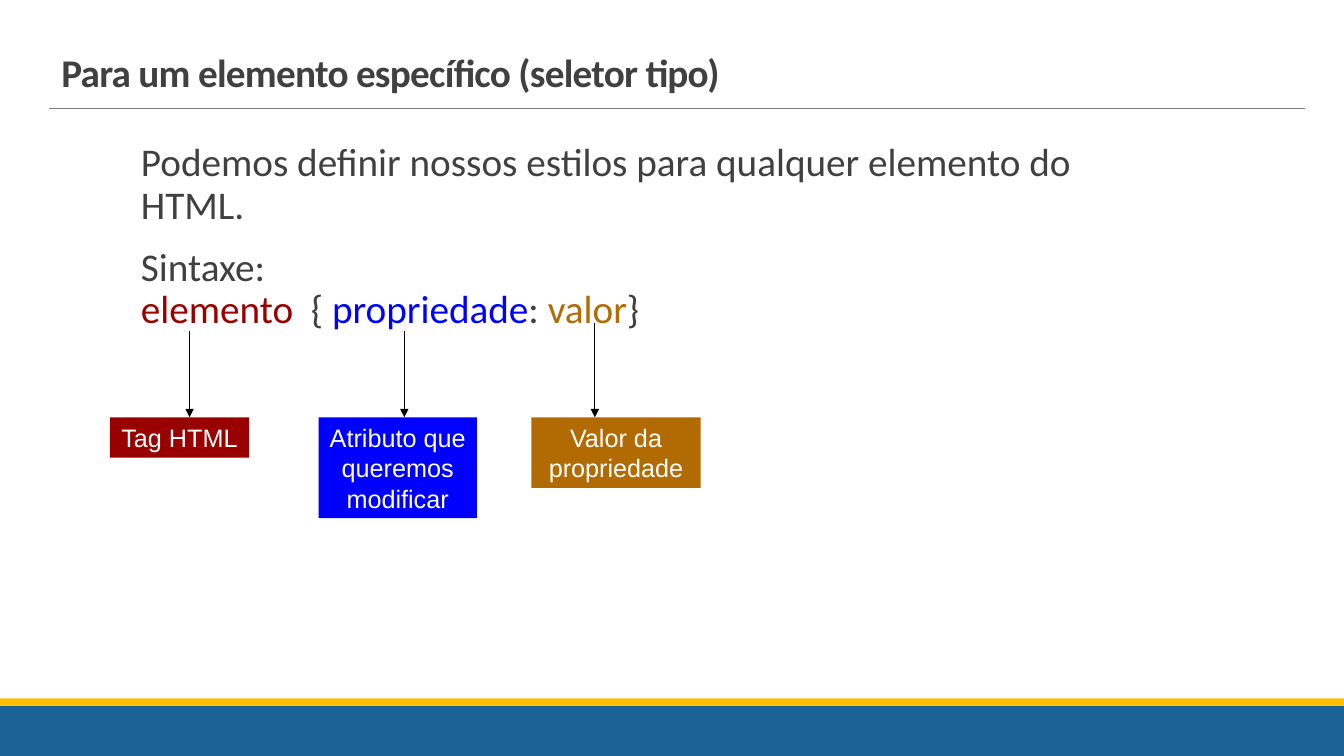
from lxml import etree
from pptx import Presentation
from pptx.dml.color import RGBColor
from pptx.enum.shapes import MSO_CONNECTOR, MSO_SHAPE
from pptx.enum.text import MSO_ANCHOR, MSO_AUTO_SIZE, PP_ALIGN
from pptx.oxml.ns import qn
from pptx.util import Inches, Pt

RECT, STRAIGHT = MSO_SHAPE.RECTANGLE, MSO_CONNECTOR.STRAIGHT
BOTTOM, CENTER = MSO_ANCHOR.BOTTOM, PP_ALIGN.CENTER
FIT_SHAPE = MSO_AUTO_SIZE.SHAPE_TO_FIT_TEXT

GREY, WHITE, BLACK = "404040", "FFFFFF", "000000"
RED, BLUE, BROWN = "990000", "0000FF", "B26B02"
LABEL_TOP = 4.14

# text, colour, left, width, height, wraps, arrow x, arrow top
LABELS = [
    ("Tag HTML", RED, 1.09, 1.38, 0.4, False, 1.88, 3.28),
    ("Atributo que queremos modificar", BLUE, 3.16, 1.57, 1, True, 4.01, 3.28),
    ("Valor da propriedade", BROWN, 5.27, 1.68, 0.7, True, 5.9, 3.2),
]
SYNTAX = [
    ("elemento", RED), ("  { ", GREY), ("propriedade", BLUE),
    (": ", GREY), ("valor", BROWN), ("}", GREY),
]


def rgb(value):
    return RGBColor.from_string(value)


def format_run(r, size, color, font="Calibri", bold=False):
    r.font.name = font
    r.font.size = Pt(size)
    r.font.bold = bold
    r.font.color.rgb = rgb(color)


def add_run(p, text, color):
    r = p.add_run()
    r.text = text
    format_run(r, 28, color)


def add_rect(s, left, top, width, height, color):
    sp = s.shapes.add_shape(RECT, Inches(left), Inches(top), Inches(width), Inches(height))
    sp.shadow.inherit = False
    sp.fill.solid()
    sp.fill.fore_color.rgb = rgb(color)
    sp.line.fill.background()
    return sp


def add_line(s, x1, y1, x2, y2, color, width, arrow=False):
    line = s.shapes.add_connector(STRAIGHT, Inches(x1), Inches(y1), Inches(x2), Inches(y2))
    line.line.color.rgb = rgb(color)
    line.line.width = Pt(width)
    if arrow:
        etree.SubElement(line.line._get_or_add_ln(), qn("a:tailEnd"), type="triangle")
    etree.SubElement(line._element.spPr, qn("a:effectLst"))


def add_text_frame(s, left, top, width, height):
    box = s.shapes.add_textbox(Inches(left), Inches(top), Inches(width), Inches(height))
    box.text_frame.word_wrap = True
    return box.text_frame


def add_title(s, text):
    tf = add_text_frame(s, 0.51, 0.36, 9.61, 0.64)
    tf.vertical_anchor = BOTTOM
    tf.text = text
    p = tf.paragraphs[0]
    p.line_spacing = 0.85
    r = p.runs[0]
    format_run(r, 28, GREY, bold=True)
    r.font._element.set("spc", "-50")


def add_body(s):
    tf = add_text_frame(s, 1.3, 1.37, 9.61, 5.62)
    tf.margin_right = 0
    intro, syntax = tf.paragraphs[0], tf.add_paragraph()
    for p in (intro, syntax):
        p.line_spacing = 0.9
        p.space_before = Pt(12)
        p.space_after = Pt(2)
    add_run(intro, "Podemos definir nossos estilos para qualquer elemento do HTML.", GREY)
    add_run(syntax, "Sintaxe:", GREY)
    syntax.add_line_break()
    for text, color in SYNTAX:
        add_run(syntax, text, color)


def add_label(s, text, color, left, width, height, wraps):
    tf = add_rect(s, left, LABEL_TOP, width, height, color).text_frame
    tf.word_wrap = wraps
    tf.auto_size = FIT_SHAPE
    tf.text = text
    p = tf.paragraphs[0]
    p.alignment = CENTER
    format_run(p.runs[0], 18, WHITE, "Arial")


def main():
    prs = Presentation()
    prs.slide_width, prs.slide_height = Inches(13.33), Inches(7.5)
    s = prs.slides.add_slide(prs.slide_layouts[6])
    add_rect(s, 0, 7, 13.33, 0.5, "1C6294")
    add_rect(s, 0, 6.93, 13.33, 0.07, "FFC000")
    add_line(s, 0.49, 1.08, 12.94, 1.08, "808080", 0.5)
    add_title(s, "Para um elemento específico (seletor tipo)")
    add_body(s)
    for text, color, left, width, height, wraps, x, top in LABELS:
        add_label(s, text, color, left, width, height, wraps)
        add_line(s, x, top, x, LABEL_TOP, BLACK, 0.75, arrow=True)
    prs.save("out.pptx")


if __name__ == "__main__":
    main()
